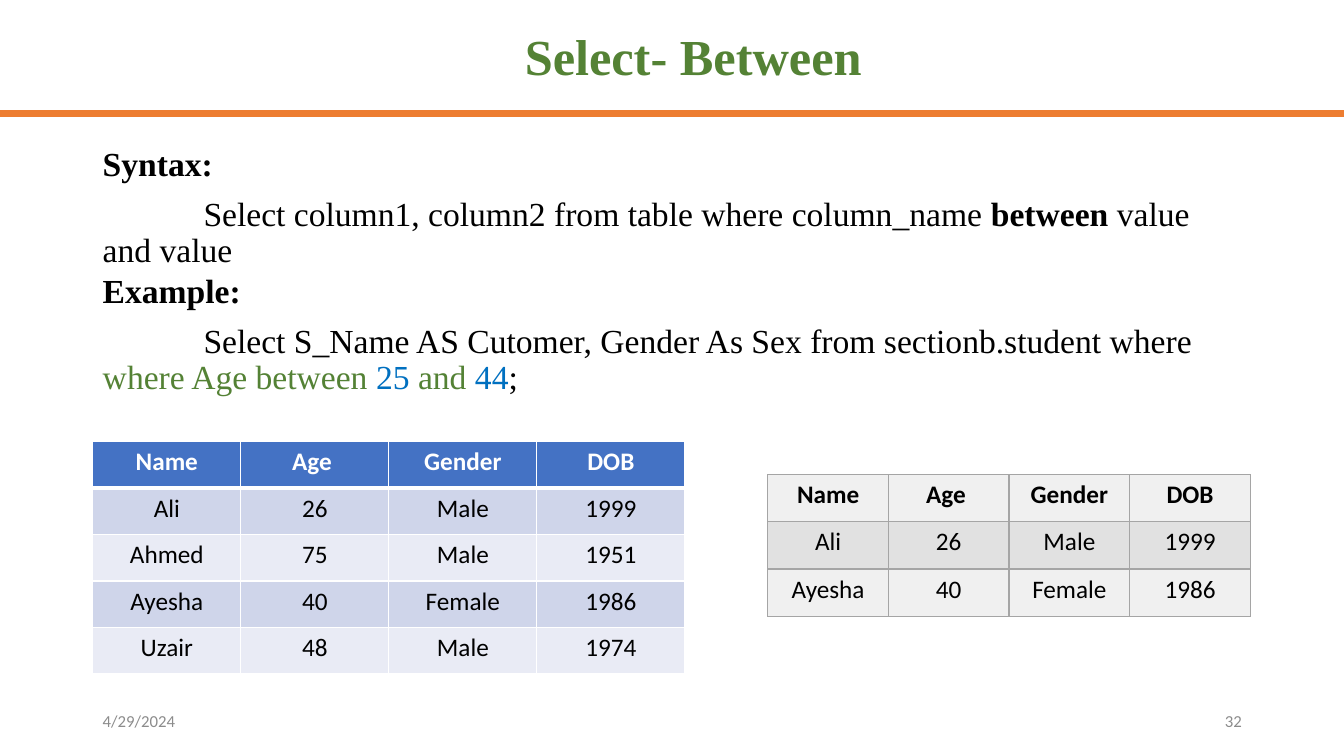
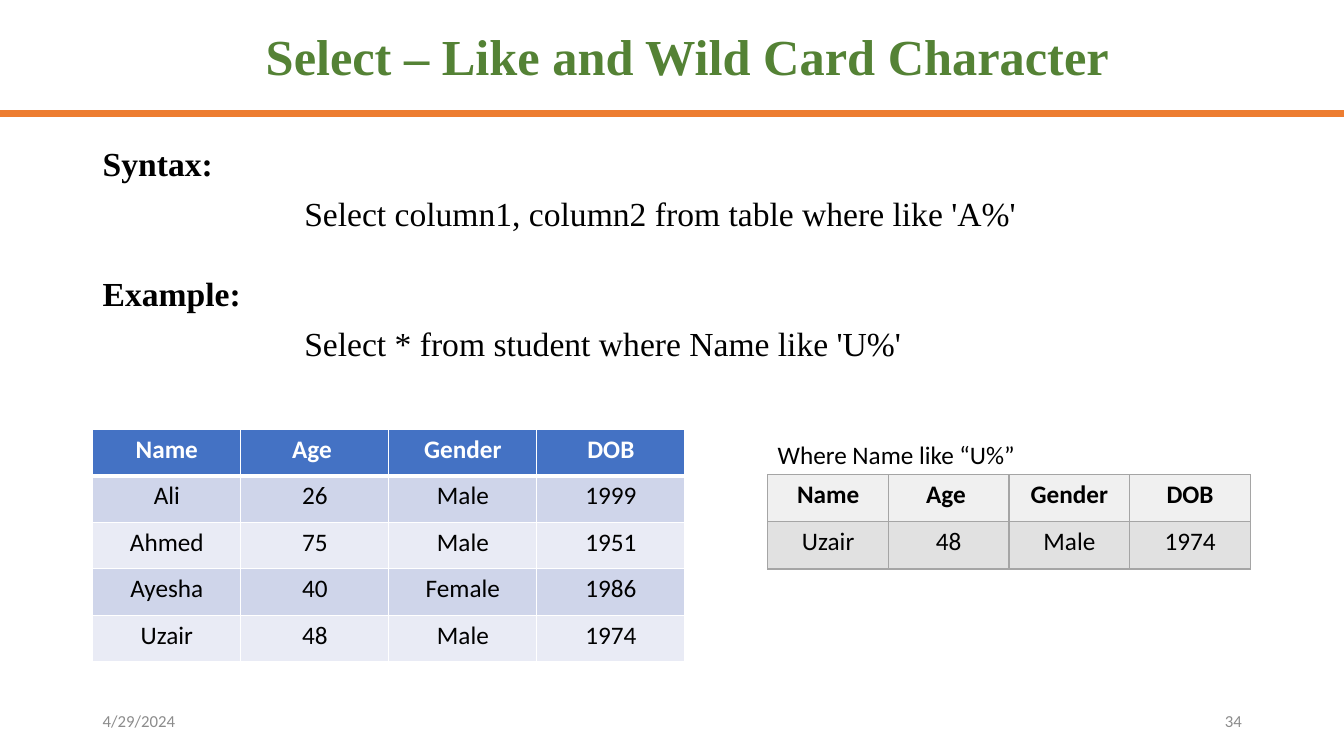
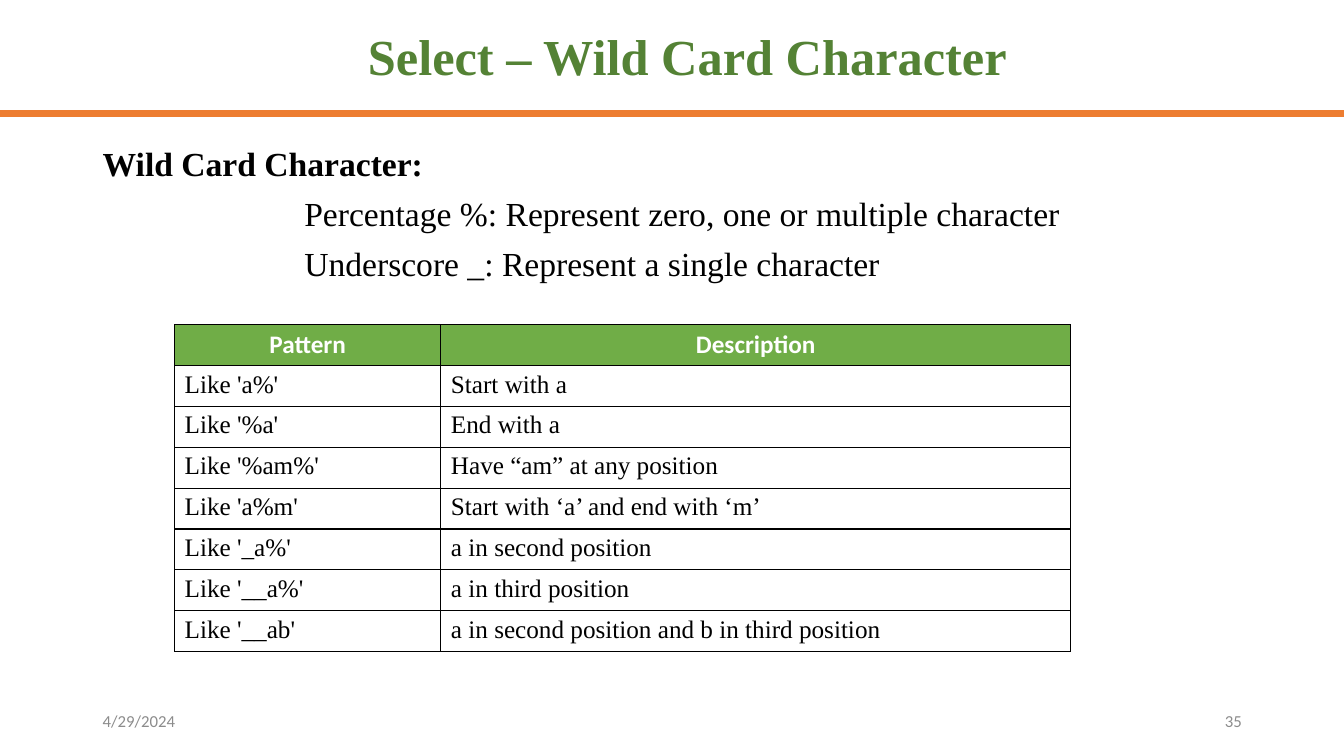
from dataclasses import dataclass

import lxml.etree
import pptx
import pptx.dml.color
import pptx.enum.shapes
import pptx.enum.text
import pptx.oxml.ns
import pptx.util

Cm, Pt = pptx.util.Cm, pptx.util.Pt
ALIGN = pptx.enum.text.PP_ALIGN
ANCHOR = pptx.enum.text.MSO_ANCHOR
qn = pptx.oxml.ns.qn


@dataclass(frozen=True)
class Theme:
    sans: str = "Calibri"
    serif: str = "Times New Roman"
    green: str = "548235"
    blue: str = "0070C0"
    orange: str = "ED7D31"
    grey: str = "8C8C8C"
    black: str = "000000"
    white: str = "FFFFFF"
    title: int = 36
    body: int = 24
    cell: int = 18
    footer: int = 12


@dataclass(frozen=True)
class TableStyle:
    head_fill: str
    head_color: str
    bands: tuple
    border: str
    head_rule: float = 1
    font: str = "Calibri"
    align: int = ALIGN.CENTER


T = Theme()
SOURCE = TableStyle("4472C4", T.white, ("CFD5EA", "E9EBF5"), T.white, head_rule=3)
RESULT = TableStyle("F0F0F0", T.black, ("E1E1E1", "F0F0F0"), "A5A5A5")
PATTERN = TableStyle("70AD47", T.white, (T.white,), T.black, font=T.serif, align=ALIGN.LEFT)

SLIDE_W, SLIDE_H = 33.87, 19.05
MARGIN, CONTENT_W = 2.34, 29.21
TAB = 2.54

HEADER = ("Name", "Age ", "Gender", "DOB")
ALI = ("Ali", "26", "Male", "1999")
AHMED = ("Ahmed", "75", "Male", "1951")
AYESHA = ("Ayesha", "40", "Female", "1986")
UZAIR = ("Uzair", "48", "Male", "1974")
STUDENTS = (HEADER, ALI, AHMED, AYESHA, UZAIR)

PATTERNS = (
    ("Pattern", "Description"),
    ("Like 'a%'", "Start with a"),
    ("Like '%a'", "End with a"),
    ("Like '%am%'", "Have “am” at any position"),
    ("Like 'a%m'", "Start with ‘a’ and end with ‘m’"),
    ("Like '_a%'", "a in second position"),
    ("Like '__a%'", "a in third position"),
    ("Like '__ab'", "a in second position and b in third position"),
)


def rgb(color):
    return pptx.dml.color.RGBColor.from_string(color)


def set_font(font, name, size, color, bold=False):
    font.name, font.size, font.bold = name, Pt(size), bold
    font.color.rgb = rgb(color)


def add_box(s, left, top, width, height, anchor=ANCHOR.TOP):
    tf = s.shapes.add_textbox(Cm(left), Cm(top), Cm(width), Cm(height)).text_frame
    tf.word_wrap = True
    tf.vertical_anchor = anchor
    return tf


def add_label(s, box, text, font, size, color, bold=False, align=ALIGN.LEFT,
              anchor=ANCHOR.MIDDLE):
    """One line of text in a box; returns its paragraph."""
    p = add_box(s, *box, anchor).paragraphs[0]
    p.text, p.alignment = text, align
    set_font(p.font, font, size, color, bold)
    return p


def add_frame(prs, title, number):
    """New slide with the shared rule, title, date and page number."""
    s = prs.slides.add_slide(prs.slide_layouts[6])
    rule = s.shapes.add_connector(pptx.enum.shapes.MSO_CONNECTOR.STRAIGHT,
                                  0, Cm(2.86), Cm(SLIDE_W), Cm(2.86))
    rule.line.color.rgb, rule.line.width = rgb(T.orange), Pt(4.5)
    lxml.etree.SubElement(rule._element.spPr, qn("a:effectLst"))
    p = add_label(s, (2.87, 0.38, CONTENT_W, 2.24), title, T.serif, T.title, T.green,
                  True, ALIGN.CENTER)
    p.line_spacing = 0.9
    width = 7.62
    add_label(s, (MARGIN, 17.65, width, 1.02), "4/29/2024", T.sans, T.footer, T.grey)
    add_label(s, (MARGIN + CONTENT_W - width, 17.65, width, 1.02), str(number),
              T.sans, T.footer, T.grey, align=ALIGN.RIGHT)
    return s


def add_body(s, sections, indent, gap=0):
    """Headings, each with statements; a statement is a list of (text, color, bold)."""
    tf = add_box(s, MARGIN, 3.48, CONTENT_W, 13.79)
    p = tf.paragraphs[0]
    for i, (heading, statements) in enumerate(sections):
        if i:
            p = tf.add_paragraph()
            p.space_before = Pt(gap)
        p.text = heading
        set_font(p.font, T.serif, T.body, T.black, True)
        for runs in statements:
            p = tf.add_paragraph()
            p.line_spacing, p.space_before = 0.9, Pt(10)
            p._p.get_or_add_pPr().set("indent", str(Cm(indent)))
            for text, color, bold in runs:
                r = p.add_run()
                r.text = text
                set_font(r.font, T.serif, T.body, color, bold)


def plain(text):
    return [(text, T.black, False)]


def set_borders(cell, color, top, bottom):
    tcPr = cell._tc.get_or_add_tcPr()
    for side, width in (("L", 1), ("R", 1), ("T", top), ("B", bottom)):
        ln = lxml.etree.SubElement(tcPr, qn(f"a:ln{side}"), w=str(Pt(width)))
        fill = lxml.etree.SubElement(ln, qn("a:solidFill"))
        lxml.etree.SubElement(fill, qn("a:srgbClr"), val=color)


def add_grid(s, left, top, widths, row_height, rows, style):
    table = s.shapes.add_table(len(rows), len(widths), Cm(left), Cm(top), Cm(sum(widths)),
                               Cm(row_height * len(rows))).table
    table.horz_banding = False
    for column, width in zip(table.columns, widths):
        column.width = Cm(width)
    for i, values in enumerate(rows):
        table.rows[i].height = Cm(row_height)
        head = i == 0
        for j, value in enumerate(values):
            cell = table.cell(i, j)
            set_borders(cell, style.border, style.head_rule if i == 1 else 1,
                        style.head_rule if head else 1)
            cell.fill.solid()
            band = style.bands[(i - 1) % len(style.bands)]
            cell.fill.fore_color.rgb = rgb(style.head_fill if head else band)
            p = cell.text_frame.paragraphs[0]
            p.text = value
            p.alignment = ALIGN.CENTER if head else style.align
            set_font(p.font, T.sans if head else style.font, T.cell,
                     style.head_color if head else T.black, head)


def add_query_tables(s, top, result, caption=None):
    """Student table at the left, query result at the right."""
    add_grid(s, MARGIN, top, [3.73] * 4, 1.17, STUDENTS, SOURCE)
    left, result_top, caption_h = 19.35, 11.96, 1.02
    add_grid(s, left, result_top, [3.04] * 4, 1.19, (HEADER, *result), RESULT)
    if caption:
        add_label(s, (left, result_top - caption_h, 7.77, caption_h), caption,
                  T.sans, T.cell, T.black, anchor=ANCHOR.TOP)


def between_slide(prs):
    s = add_frame(prs, "Select- Between", 32)
    syntax = [
        ("Select column1, column2 from table where column_name ", T.black, False),
        ("between", T.black, True),
        (" value and value", T.black, False),
    ]
    example = [
        ("Select S_Name AS Cutomer, Gender As Sex from sectionb.student where ", T.black, False),
        ("where Age between ", T.green, False),
        ("25", T.blue, False),
        (" and ", T.green, False),
        ("44", T.blue, False),
        (";", T.black, False),
    ]
    add_body(s, [("Syntax:", [syntax]), ("Example:", [example])], TAB)
    add_query_tables(s, 11.13, [ALI, AYESHA])


def like_slide(prs):
    s = add_frame(prs, "Select – Like and Wild Card Character ", 34)
    add_body(s, [
        ("Syntax:", [plain("Select column1, column2 from table where like 'A%'")]),
        ("Example:", [plain("Select * from student where Name like 'U%'")]),
    ], 2 * TAB, gap=28)
    add_query_tables(s, 10.82, [UZAIR], "Where Name like “U%”")


def wild_card_slide(prs):
    s = add_frame(prs, "Select – Wild Card Character ", 35)
    add_body(s, [("Wild Card Character:", [
        plain("Percentage %: Represent zero, one or multiple character"),
        plain("Underscore _: Represent a single character"),
    ])], 2 * TAB)
    add_grid(s, 4.4, 8.18, [6.71, 15.87], 1.03, PATTERNS, PATTERN)


def main():
    prs = pptx.Presentation()
    prs.slide_width, prs.slide_height = Cm(SLIDE_W), Cm(SLIDE_H)
    between_slide(prs)
    like_slide(prs)
    wild_card_slide(prs)
    prs.save("out.pptx")


if __name__ == "__main__":
    main()
